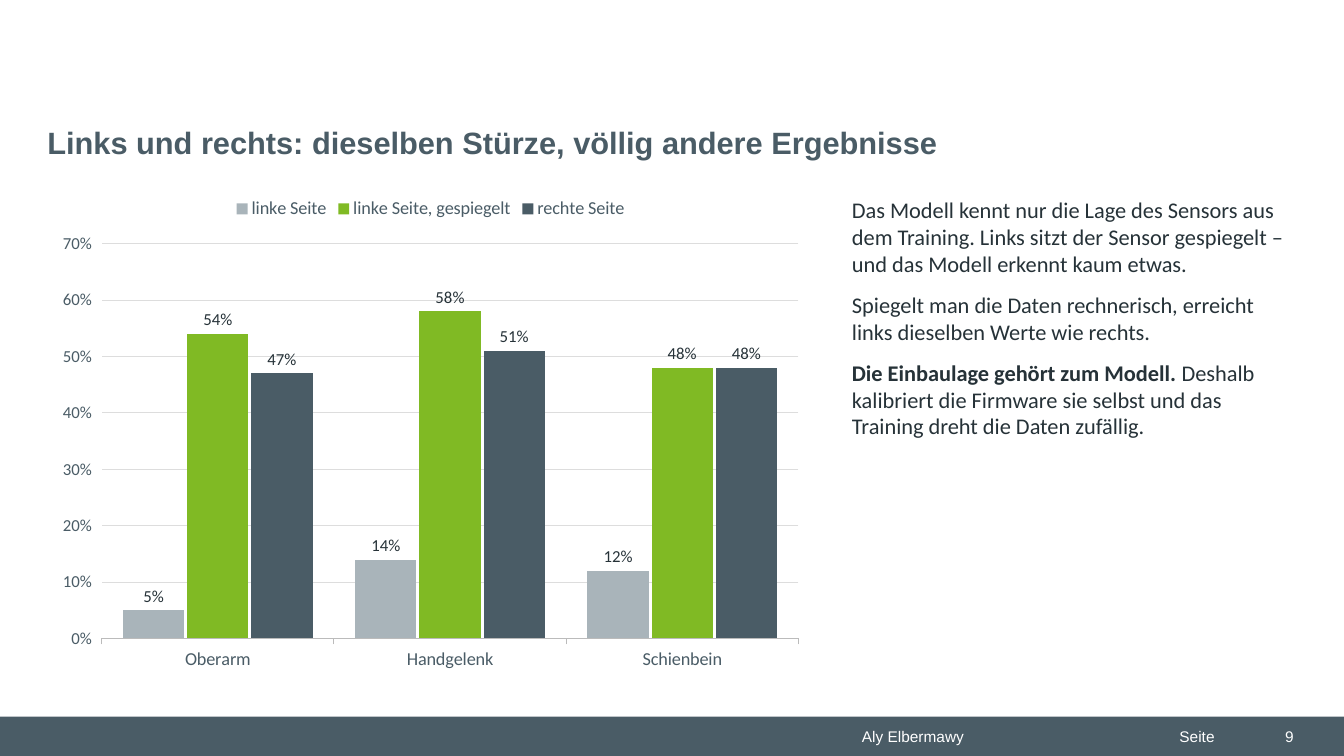
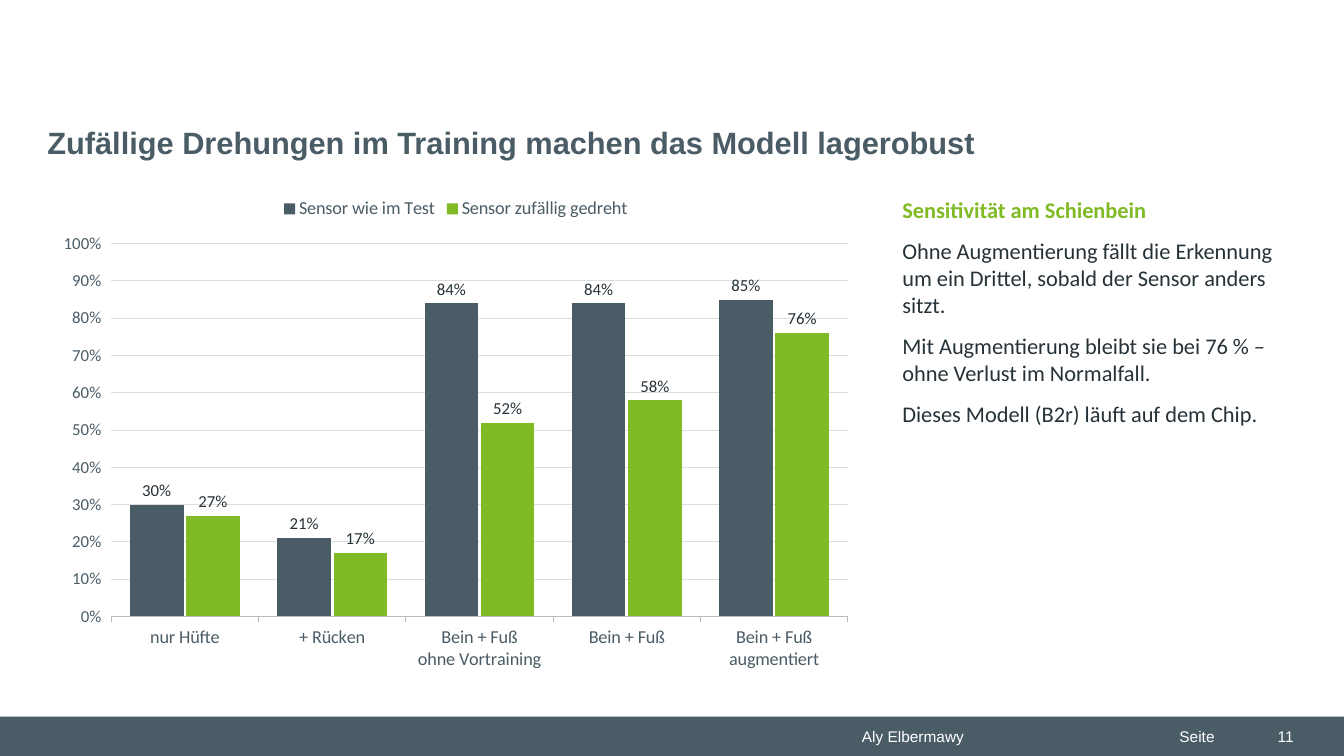
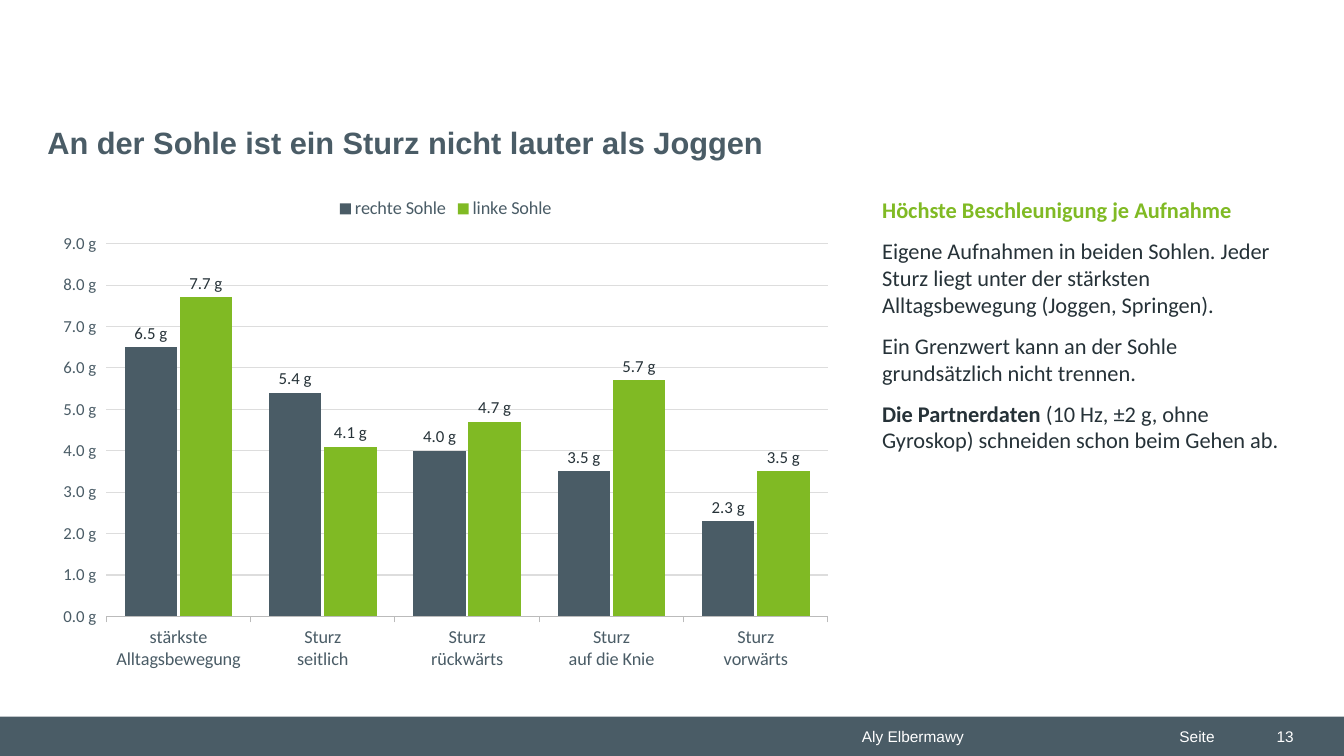
"""Build three slides on fall detection, each with a column chart and notes beside it."""
import pptx
import pptx.chart.data
import pptx.dml.color
import pptx.enum.chart
import pptx.enum.shapes
import pptx.enum.text
import pptx.util

Inches = pptx.util.Inches
Pt = pptx.util.Pt
Anchor = pptx.enum.text.MSO_ANCHOR
Align = pptx.enum.text.PP_ALIGN

SLATE, GREEN, GREY = "4A5C66", "80BA24", "A9B4BA"
INK, WHITE, RULE, GRID = "263238", "FFFFFF", "BBBBBB", "DDDDDD"
HEAD, BODY = "Arial", "Calibri"
LEFT, RIGHT, GAP = 0.47, 12.75, 0.38
PERCENT, FORCE = '0"%"', '0.0" g"'


def rgb(code):
    return pptx.dml.color.RGBColor.from_string(code)


def style(font, size, color, name=BODY, bold=False):
    font.size, font.name, font.bold = Pt(size), name, bold
    font.color.rgb = rgb(color)


class Deck:
    def __init__(self):
        self.file = pptx.Presentation()
        self.file.slide_width = Inches(13.33)
        self.file.slide_height = Inches(7.5)
        self.slide = None

    def start(self, title, page):
        self.slide = self.file.slides.add_slide(self.file.slide_layouts[5])
        self.title(title)
        self.footer(page)

    def title(self, text):
        head = self.slide.shapes.title
        head.left, head.top = Inches(LEFT), Inches(1.18)
        head.width, head.height = Inches(RIGHT - LEFT), Inches(0.63)
        frame = head.text_frame
        frame.text = text
        frame.auto_size = pptx.enum.text.MSO_AUTO_SIZE.NONE
        frame.vertical_anchor = Anchor.TOP
        frame.margin_left = frame.margin_right = 0
        frame.margin_top = frame.margin_bottom = Inches(0.05)
        par = frame.paragraphs[0]
        par.alignment = Align.LEFT
        style(par.font, 22, SLATE, HEAD, True)

    def box(self, left, top, width, height):
        shape = self.slide.shapes.add_textbox(
            Inches(left), Inches(top), Inches(width), Inches(height))
        shape.text_frame.word_wrap = True
        return shape.text_frame

    def footer(self, page):
        band = self.slide.shapes.add_shape(
            pptx.enum.shapes.MSO_SHAPE.RECTANGLE,
            0, Inches(7.11), Inches(13.33), Inches(0.39))
        band.shadow.inherit = False
        band.fill.solid()
        band.fill.fore_color.rgb = rgb(SLATE)
        band.line.fill.background()
        for text, left, width, align in (
                ("Aly Elbermawy", 8.45, 3.15, Align.LEFT),
                ("Seite", 11.6, 0.84, Align.LEFT),
                (str(page), 12.23, 0.7, Align.RIGHT)):
            frame = self.box(left, 7.16, width, 0.29)
            frame.vertical_anchor = Anchor.MIDDLE
            frame.text = text
            par = frame.paragraphs[0]
            par.alignment = align
            style(par.font, 11, WHITE, HEAD)

    def chart(self, width, cats, series, form, top, step):
        data = pptx.chart.data.CategoryChartData(number_format=form)
        data.categories = cats
        for name, color, vals in series:
            data.add_series(name, vals)
        chart = self.slide.shapes.add_chart(
            pptx.enum.chart.XL_CHART_TYPE.COLUMN_CLUSTERED,
            Inches(LEFT), Inches(1.85), Inches(width), Inches(4.9), data).chart
        style(chart.font, 13, SLATE)
        chart.has_title = False
        chart.has_legend = True
        chart.legend.position = pptx.enum.chart.XL_LEGEND_POSITION.TOP
        chart.legend.include_in_layout = False
        style(chart.legend.font, 13, SLATE)
        self.axes(chart, form, top, step)
        plot = chart.plots[0]
        plot.gap_width, plot.overlap = 70, -5
        plot.vary_by_categories = False
        for bars, (name, color, vals) in zip(plot.series, series):
            bars.format.fill.solid()
            bars.format.fill.fore_color.rgb = rgb(color)
            tags = bars.data_labels
            tags.show_value = True
            tags.number_format, tags.number_format_is_linked = form, False
            tags.position = pptx.enum.chart.XL_LABEL_POSITION.OUTSIDE_END
            style(tags.font, 12, INK)

    def axes(self, chart, form, top, step):
        base, scale = chart.category_axis, chart.value_axis
        for axis, size in ((base, 13), (scale, 12)):
            axis.major_tick_mark = pptx.enum.chart.XL_TICK_MARK.OUTSIDE
            style(axis.tick_labels.font, size, SLATE)
        base.has_major_gridlines = False
        scale.has_major_gridlines = True
        scale.format.line.fill.background()
        for line, color in ((base.format.line, RULE),
                            (scale.major_gridlines.format.line, GRID)):
            line.color.rgb = rgb(color)
            line.width = Pt(0.75)
        scale.minimum_scale, scale.maximum_scale = 0, top
        scale.major_unit = step
        scale.tick_labels.number_format = form
        scale.tick_labels.number_format_is_linked = False

    def notes(self, width, pars, head=None):
        left = LEFT + width + GAP
        frame = self.box(left, 1.95, RIGHT - left, 4.8)
        frame.margin_left = frame.margin_right = 0
        frame.margin_top = frame.margin_bottom = 0
        rows = [(text, INK, False) for text in pars]
        if head:
            rows.insert(0, (head, GREEN, True))
        for i, (text, color, bold) in enumerate(rows):
            par = frame.add_paragraph() if i else frame.paragraphs[0]
            par.space_after = Pt(10)
            style(par.font, 16, color, bold=bold)
            if isinstance(text, tuple):
                lead, text = text
                run = par.add_run()
                run.text, run.font.bold = lead, True
            par.add_run().text = text


def main():
    deck = Deck()

    deck.start("Links und rechts: dieselben Stürze, völlig andere Ergebnisse", 9)
    deck.chart(7.6, ["Oberarm", "Handgelenk", "Schienbein"], [
        ("linke Seite", GREY, [5, 14, 12]),
        ("linke Seite, gespiegelt", GREEN, [54, 58, 48]),
        ("rechte Seite", SLATE, [47, 51, 48]),
    ], PERCENT, 70, 10)
    deck.notes(7.6, [
        "Das Modell kennt nur die Lage des Sensors aus dem Training. "
        "Links sitzt der Sensor gespiegelt – und das Modell erkennt kaum etwas.",
        "Spiegelt man die Daten rechnerisch, erreicht links dieselben Werte wie rechts.",
        ("Die Einbaulage gehört zum Modell. ",
         "Deshalb kalibriert die Firmware sie selbst und das Training "
         "dreht die Daten zufällig."),
    ])

    deck.start("Zufällige Drehungen im Training machen das Modell lagerobust", 11)
    deck.chart(8.1, ["nur Hüfte", "+ Rücken", "Bein + Fuß\nohne Vortraining",
                     "Bein + Fuß", "Bein + Fuß\naugmentiert"], [
        ("Sensor wie im Test", SLATE, [30, 21, 84, 84, 85]),
        ("Sensor zufällig gedreht", GREEN, [27, 17, 52, 58, 76]),
    ], PERCENT, 100, 10)
    deck.notes(8.1, [
        "Ohne Augmentierung fällt die Erkennung um ein Drittel, "
        "sobald der Sensor anders sitzt.",
        "Mit Augmentierung bleibt sie bei 76 % – ohne Verlust im Normalfall.",
        "Dieses Modell (B2r) läuft auf dem Chip.",
    ], "Sensitivität am Schienbein")

    deck.start("An der Sohle ist ein Sturz nicht lauter als Joggen", 13)
    deck.chart(7.9, ["stärkste\nAlltagsbewegung", "Sturz\nseitlich", "Sturz\nrückwärts",
                     "Sturz\nauf die Knie", "Sturz\nvorwärts"], [
        ("rechte Sohle", SLATE, [6.5, 5.4, 4.0, 3.5, 2.3]),
        ("linke Sohle", GREEN, [7.7, 4.1, 4.7, 5.7, 3.5]),
    ], FORCE, 9, 1)
    deck.notes(7.9, [
        "Eigene Aufnahmen in beiden Sohlen. Jeder Sturz liegt unter der "
        "stärksten Alltagsbewegung (Joggen, Springen).",
        "Ein Grenzwert kann an der Sohle grundsätzlich nicht trennen.",
        ("Die Partnerdaten ",
         "(10 Hz, ±2 g, ohne Gyroskop) schneiden schon beim Gehen ab."),
    ], "Höchste Beschleunigung je Aufnahme")

    deck.file.save("out.pptx")


if __name__ == "__main__":
    main()
